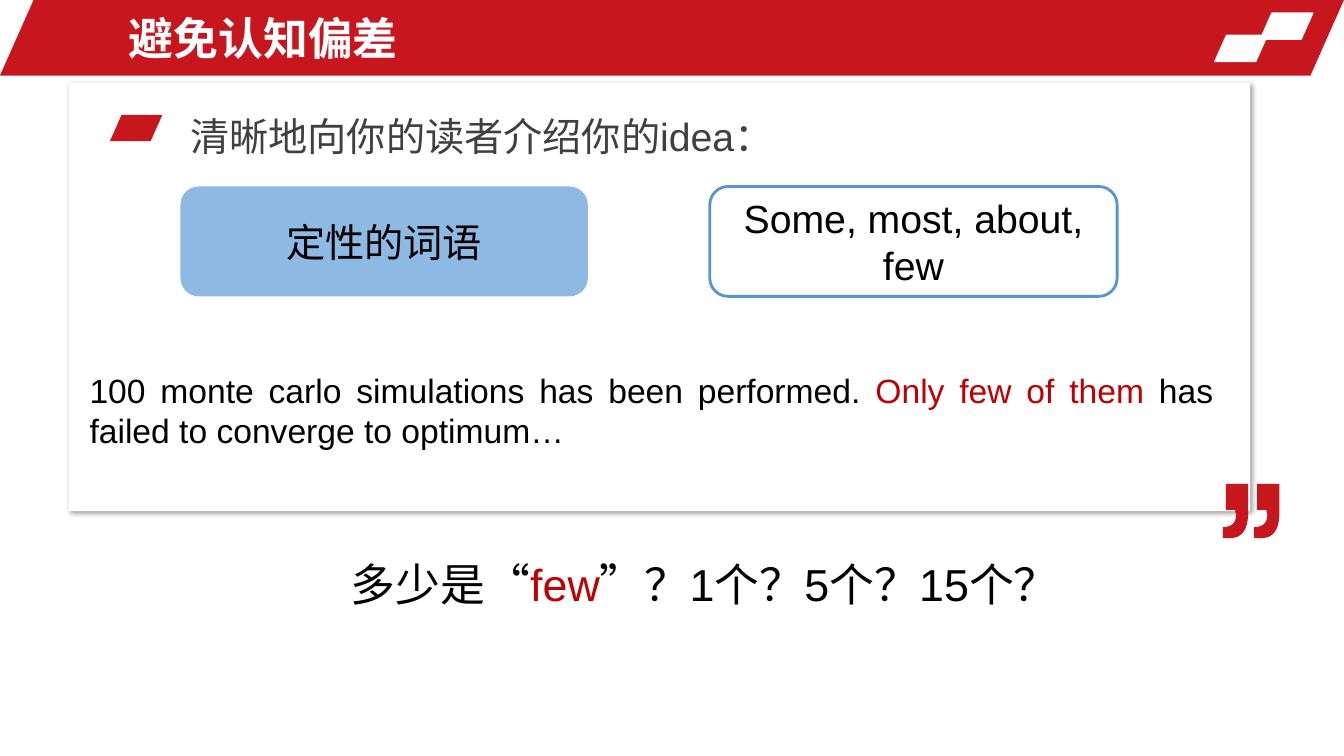
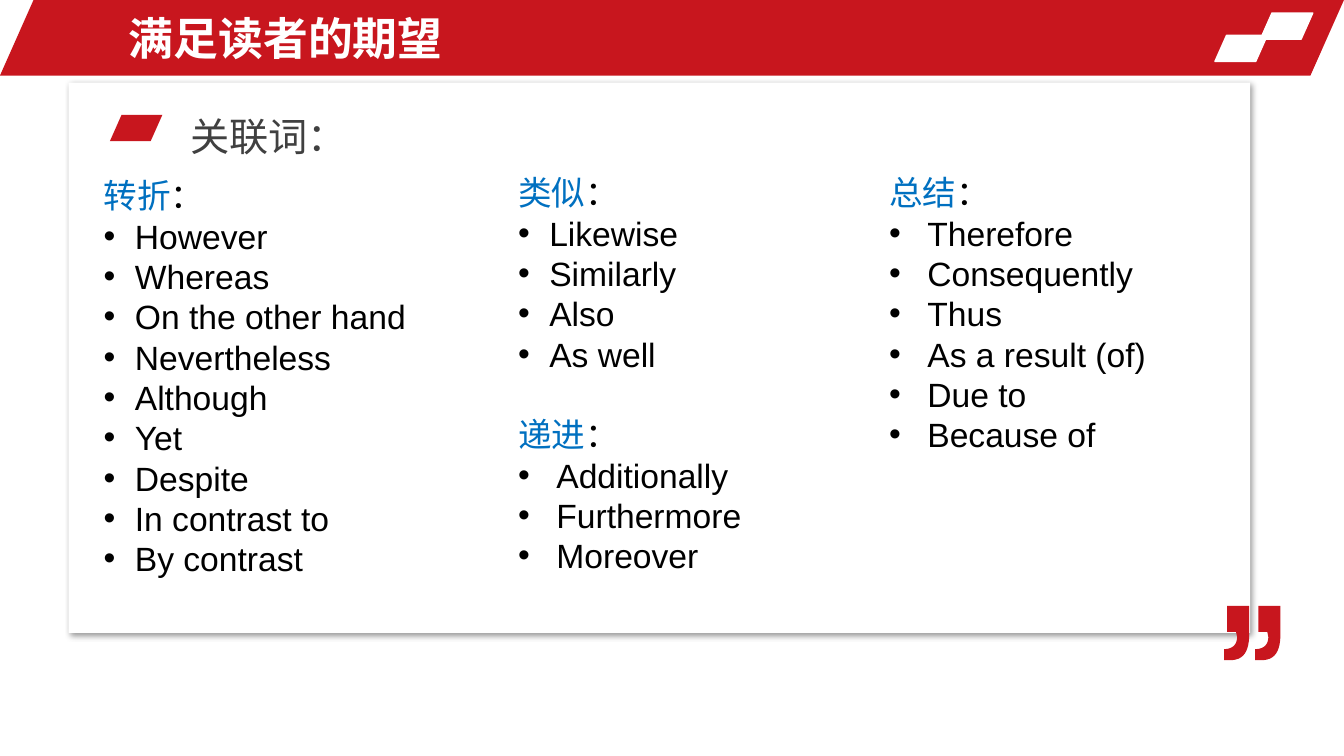
from dataclasses import dataclass
from typing import Optional

from lxml.etree import SubElement
from pptx import Presentation
from pptx.dml.color import RGBColor
from pptx.enum.lang import MSO_LANGUAGE_ID as Language
from pptx.enum.shapes import MSO_SHAPE as Preset
from pptx.enum.text import MSO_ANCHOR as Anchor, PP_ALIGN as Align
from pptx.oxml.ns import qn
from pptx.util import Inches, Pt

RED = RGBColor(0xC8, 0x16, 0x1E)
EMPHASIS_RED = RGBColor(0xC0, 0x00, 0x00)
HEADING_BLUE = RGBColor(0x00, 0x70, 0xC0)
LIGHT_BLUE = RGBColor(0x8D, 0xB9, 0xE2)
OUTLINE_BLUE = RGBColor(0x54, 0x95, 0xD3)
GREY = RGBColor(0x40, 0x40, 0x40)
WHITE = RGBColor(0xFF, 0xFF, 0xFF)
BLACK = RGBColor(0x00, 0x00, 0x00)

BASE_FONT = {"name": "Arial", "language_id": Language.SIMPLIFIED_CHINESE}
SLANT = 0.444
CARD_LEFT, CARD_TOP, CARD_WIDTH = 0.68, 0.82, 11.72
MARK_SHIFT = 0.31


@dataclass(frozen=True)
class Box:
    left: float
    top: float
    width: float
    height: float

    def lengths(self) -> list:
        return [Inches(v) for v in (self.left, self.top, self.width, self.height)]


@dataclass(frozen=True)
class Span:
    text: str
    color: RGBColor = BLACK


@dataclass(frozen=True)
class WordGroup:
    heading: str
    words: tuple
    indent: float
    space_before: float = 0


@dataclass(frozen=True)
class WordColumn:
    box: Box
    groups: tuple


BADGES = (Box(12.5, 0.13, 0.52, 0.26), Box(12.05, 0.35, 0.52, 0.26))

WORD_COLUMNS = (
    WordColumn(Box(0.93, 1.69, 3.23, 4.14), (
        WordGroup("转折", ("However", "Whereas", "On the other hand", "Nevertheless",
                         "Although", "Yet", "Despite", "In contrast to", "By contrast"), 0.31),
    )),
    WordColumn(Box(5.04, 1.66, 3.23, 4.14), (
        WordGroup("类似", ("Likewise", "Similarly", "Also", "As well"), 0.31),
        WordGroup("递进", ("Additionally", "Furthermore", "Moreover"), 0.38, 28.8),
    )),
    WordColumn(Box(8.72, 1.66, 3.23, 2.93), (
        WordGroup("总结", ("Therefore", "Consequently", "Thus", "As a result (of)",
                         "Due to", "Because of"), 0.38),
    )),
)


def add_spans(paragraph, spans, size: float, bold: bool = False) -> None:
    for span in spans:
        run = paragraph.add_run()
        run.text = span.text
        for name, value in {**BASE_FONT, "size": Pt(size), "bold": bold}.items():
            setattr(run.font, name, value)
        run.font.color.rgb = span.color


def add_text(slide, box: Box, spans, size: float, bold: bool = False,
             anchor=Anchor.TOP, **paragraph_format) -> None:
    frame = slide.shapes.add_textbox(*box.lengths()).text_frame
    frame.word_wrap = True
    frame.vertical_anchor = anchor
    paragraph = frame.paragraphs[0]
    for name, value in paragraph_format.items():
        setattr(paragraph, name, value)
    add_spans(paragraph, spans, size, bold)


def add_preset(slide, preset, box: Box, fill: RGBColor, outline: Optional[RGBColor] = None,
               outline_width: float = 1, adjustment: Optional[float] = None):
    shape = slide.shapes.add_shape(preset, *box.lengths())
    shape.shadow.inherit = False
    shape.fill.solid()
    shape.fill.fore_color.rgb = fill
    if outline is None:
        shape.line.fill.background()
    else:
        shape.line.color.rgb = outline
        shape.line.width = Pt(outline_width)
    if adjustment is not None:
        shape.adjustments[0] = adjustment
    return shape


def add_slanted(slide, box: Box, fill: RGBColor, outline: Optional[RGBColor] = None) -> None:
    add_preset(slide, Preset.PARALLELOGRAM, box, fill, outline, adjustment=SLANT)


def add_drop_shadow(shape) -> None:
    effects = shape._element.spPr.find(qn("a:effectLst"))
    shadow = SubElement(effects, qn("a:outerShdw"), blurRad=str(Pt(4)), dist=str(Pt(3)),
                        dir=str(45 * 60000), algn="tl", rotWithShape="0")
    color = SubElement(shadow, qn("a:srgbClr"), val=str(BLACK))
    SubElement(color, qn("a:alpha"), val="40000")


def curve(start, control_1, control_2, end, steps: int = 12) -> list:
    """Points along a cubic Bezier curve, without its start."""
    points = []
    for step in range(1, steps + 1):
        t = step / steps
        weights = ((1 - t) ** 3, 3 * t * (1 - t) ** 2, 3 * t ** 2 * (1 - t), t ** 3)
        corners = (start, control_1, control_2, end)
        points.append(tuple(sum(w * c[axis] for w, c in zip(weights, corners))
                            for axis in (0, 1)))
    return points


def add_closing_quote(slide, left: float, top: float) -> None:
    outline = [(0.25, 0), (0.25, 0.28),
               *curve((0.25, 0.28), (0.25, 0.46), (0.19, 0.54), (0.06, 0.54)),
               (0, 0.54), (0, 0.43),
               *curve((0, 0.43), (0.08, 0.43), (0.13, 0.39), (0.13, 0.31)),
               (0.12, 0.26), (0.03, 0.26), (0.03, 0)]
    marks = [[(Inches(left + shift + x), Inches(top + y)) for x, y in outline]
             for shift in (0, MARK_SHIFT)]
    builder = slide.shapes.build_freeform(*marks[0][0])
    builder.add_line_segments(marks[0][1:], close=True)
    builder.move_to(*marks[1][0])
    builder.add_line_segments(marks[1][1:], close=True)
    quote = builder.convert_to_shape()
    quote.shadow.inherit = False
    quote.fill.solid()
    quote.fill.fore_color.rgb = RED
    quote.line.fill.background()


def add_framed_slide(presentation, title: str, heading: str, card_height: float,
                     quote_left: float):
    """Slide with the title band, the white card, its heading and the closing quote."""
    slide = presentation.slides.add_slide(presentation.slide_layouts[6])
    add_slanted(slide, Box(0, 0, 13.33, 0.75), RED)
    for badge in BADGES:
        add_slanted(slide, badge, WHITE, WHITE)
    add_text(slide, Box(1.18, 0.05, 7.74, 0.65), [Span(title, WHITE)], 32, bold=True,
             anchor=Anchor.MIDDLE)
    card = add_preset(slide, Preset.ROUNDED_RECTANGLE,
                      Box(CARD_LEFT, CARD_TOP, CARD_WIDTH, card_height), WHITE, adjustment=0)
    add_drop_shadow(card)
    add_slanted(slide, Box(1.09, 1.14, 0.52, 0.26), RED)
    add_text(slide, Box(1.79, 0.92, 10.46, 0.65), [Span(heading, GREY)], 28, line_spacing=1.3)
    add_closing_quote(slide, quote_left, CARD_TOP + card_height - 0.27)
    return slide


def add_label(slide, left: float, text: str, fill: RGBColor,
              outline: Optional[RGBColor] = None) -> None:
    label = add_preset(slide, Preset.ROUNDED_RECTANGLE, Box(left, 1.85, 4.04, 1.09),
                       fill, outline, outline_width=2)
    frame = label.text_frame
    frame.word_wrap = True
    frame.vertical_anchor = Anchor.MIDDLE
    frame.paragraphs[0].alignment = Align.CENTER
    add_spans(frame.paragraphs[0], [Span(text)], 28)


def set_bullet(paragraph, indent: float) -> None:
    properties = paragraph._p.get_or_add_pPr()
    properties.set("marL", str(Inches(indent)))
    properties.set("indent", str(-Inches(indent)))
    SubElement(properties, qn("a:buFont"), typeface="Arial")
    SubElement(properties, qn("a:buChar"), char="•")


def add_word_column(slide, column: WordColumn) -> None:
    frame = slide.shapes.add_textbox(*column.box.lengths()).text_frame
    frame.word_wrap = True
    for index, group in enumerate(column.groups):
        heading = frame.add_paragraph() if index else frame.paragraphs[0]
        if group.space_before:
            heading.space_before = Pt(group.space_before)
        add_spans(heading, [Span(group.heading, HEADING_BLUE), Span("：")], 24)
        for word in group.words:
            paragraph = frame.add_paragraph()
            set_bullet(paragraph, group.indent)
            add_spans(paragraph, [Span(word)], 24)


def add_bias_slide(presentation) -> None:
    slide = add_framed_slide(presentation, "避免认知偏差", "清晰地向你的读者介绍你的idea：",
                             4.25, 12.13)
    add_label(slide, 1.79, "定性的词语", LIGHT_BLUE)
    add_label(slide, 7.04, "Some, most, about, few", WHITE, OUTLINE_BLUE)
    add_text(slide, Box(0.79, 3.62, 11.34, 0.91),
             [Span("100 monte carlo simulations has been performed. "),
              Span("Only few of them", EMPHASIS_RED),
              Span(" has failed to converge to optimum…")], 24, alignment=Align.JUSTIFY)
    add_text(slide, Box(3.38, 5.47, 7.28, 0.64),
             [Span("多少是“"), Span("few", EMPHASIS_RED), Span("”？1个？5个？15个？")], 32)


def add_expectation_slide(presentation) -> None:
    slide = add_framed_slide(presentation, "满足读者的期望", "关联词：", 5.46, 12.14)
    for column in WORD_COLUMNS:
        add_word_column(slide, column)


def main() -> None:
    presentation = Presentation()
    presentation.slide_width = Inches(13.33)
    presentation.slide_height = Inches(7.5)
    add_bias_slide(presentation)
    add_expectation_slide(presentation)
    presentation.save("out.pptx")


if __name__ == "__main__":
    main()
